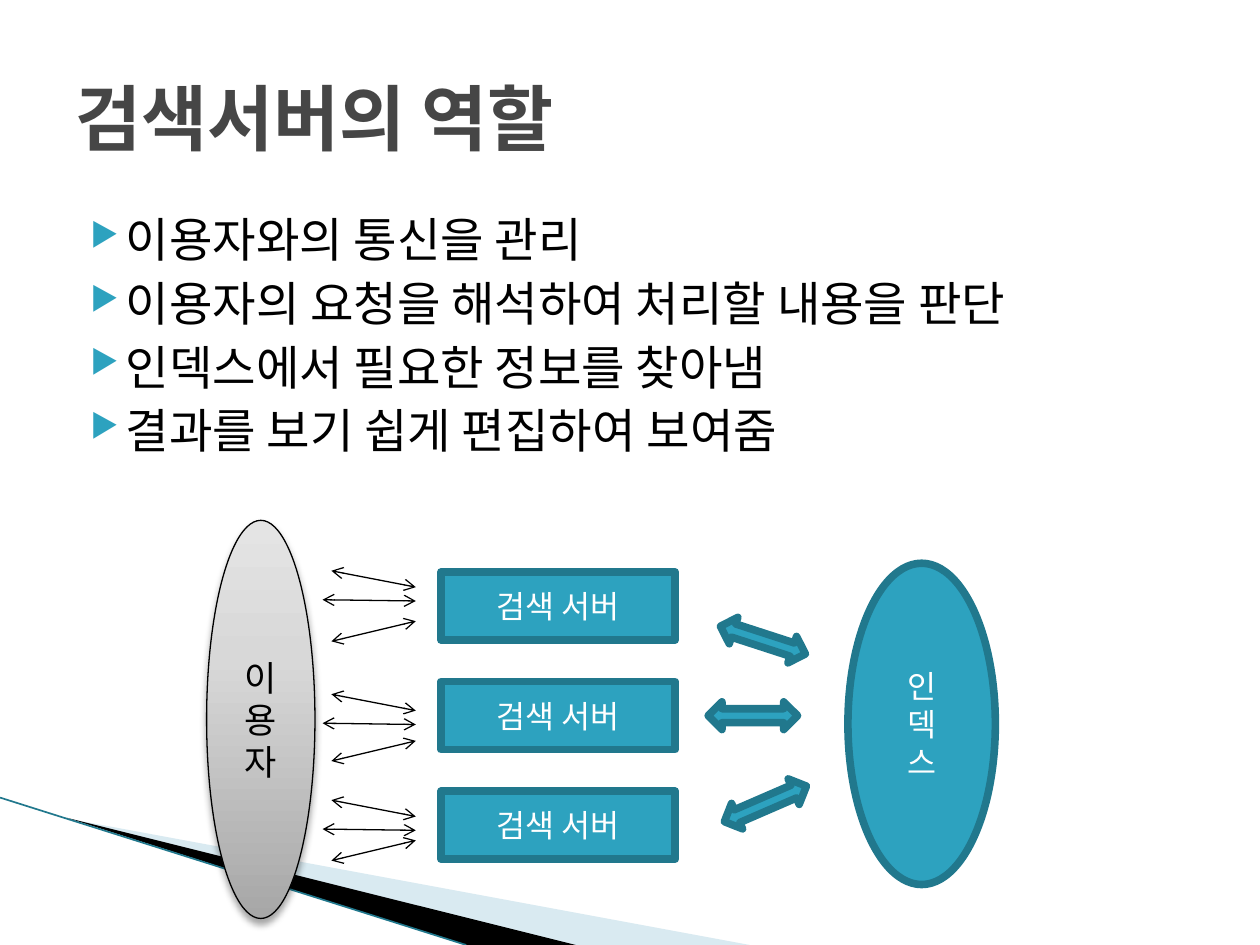
from copy import deepcopy

from lxml.etree import SubElement
from pptx import Presentation
from pptx.dml.color import RGBColor
from pptx.enum.shapes import MSO_CONNECTOR, MSO_SHAPE
from pptx.enum.text import MSO_ANCHOR, PP_ALIGN
from pptx.oxml import parse_xml
from pptx.oxml.ns import nsdecls, qn
from pptx.util import Inches, Pt

WIDE, HIGH = 10, 7.5
FACE = "Noto Sans Mono"
TEAL = RGBColor(0x2D, 0xA2, 0xBF)
EDGE = RGBColor(0x21, 0x78, 0x8D)
PALE = RGBColor(0xA0, 0xCB, 0xDC)
GRAY = RGBColor(0x46, 0x46, 0x46)
BLACK = RGBColor(0, 0, 0)
WHITE = RGBColor(0xFF, 0xFF, 0xFF)
SHADES = [(0, RGBColor(0xA7, 0xA7, 0xA7)),
          (0.65, RGBColor(0xD8, 0xD8, 0xD8)),
          (1, RGBColor(0xE4, 0xE4, 0xE4))]

# Server rows, and the top of each fan of arrows beside them
TOP, STEP, ROWS = 4.54, 0.87, 3
FANS = [(4.53, 0.56), (5.51, 0.53), (6.35, 0.48)]
POINTS = ["이용자와의 통신을 관리",
          "이용자의 요청을 해석하여 처리할 내용을 판단",
          "인덱스에서 필요한 정보를 찾아냄",
          "결과를 보기 쉽게 편집하여 보여줌"]


def write(frame, lines, size, color, align=PP_ALIGN.CENTER, bold=False):
    """Fill a frame with one paragraph per line."""
    frame.word_wrap = True
    frame.text = "\n".join(lines)
    for para in frame.paragraphs:
        para.alignment = align
        font = para.font
        font.name, font.size, font.bold = FACE, Pt(size), bold
        font.color.rgb = color
    return frame


def add_text(slide, box, lines, size, color, bold=False):
    frame = slide.shapes.add_textbox(*map(Inches, box)).text_frame
    return write(frame, lines, size, color, PP_ALIGN.LEFT, bold)


def add_list(slide, box, lines):
    """Text with teal triangle bullets."""
    for para in add_text(slide, box, lines, 27, BLACK).paragraphs:
        para.space_before = Pt(4)
        props = para._p.get_or_add_pPr()
        props.set("marL", str(Inches(0.4)))
        props.set("indent", str(Inches(-0.28)))
        marks = [f'<a:buClr {nsdecls("a")}><a:srgbClr val="{TEAL}"/></a:buClr>',
                 f'<a:buSzPct {nsdecls("a")} val="68000"/>',
                 f'<a:buChar {nsdecls("a")} char="▶"/>']
        last = props.find(qn("a:defRPr"))
        for mark in marks:
            last.addprevious(parse_xml(mark))


def add_node(slide, kind, box, lines=(), turn=0):
    """Teal shape with a thick round-cornered edge."""
    node = slide.shapes.add_shape(kind, *map(Inches, box))
    node.shadow.inherit = False
    node.rotation = turn
    node.fill.solid()
    node.fill.fore_color.rgb = TEAL
    node.line.color.rgb = EDGE
    node.line.width = Pt(4.33)
    SubElement(node.line._get_or_add_ln(), qn("a:round"))
    if lines:
        write(node.text_frame, lines, 18, WHITE)
        node.text_frame.vertical_anchor = MSO_ANCHOR.MIDDLE
    return node


def add_user(slide, box, lines):
    """Gray shaded ellipse with a soft shadow."""
    node = add_node(slide, MSO_SHAPE.OVAL, box, lines)
    write(node.text_frame, lines, 20, BLACK)
    node.line.color.rgb = BLACK
    node.line.width = Pt(0.75)
    node.fill.gradient()
    node.fill.gradient_angle = 90
    stops = node._element.spPr.find(qn("a:gradFill")).find(qn("a:gsLst"))
    stops.append(deepcopy(stops[-1]))
    for stop, (place, color) in zip(node.fill.gradient_stops, SHADES):
        stop.position, stop.color.rgb = place, color
    glow = node._element.spPr.find(qn("a:effectLst"))
    glow.append(parse_xml(
        f'<a:outerShdw {nsdecls("a")} blurRad="{Pt(4)}" dist="{Pt(3)}" '
        'dir="5400000" rotWithShape="0"><a:srgbClr val="000000">'
        '<a:alpha val="35000"/></a:srgbClr></a:outerShdw>'))


def add_line(slide, start, end, color, width, heads=False):
    line = slide.shapes.add_connector(
        MSO_CONNECTOR.STRAIGHT, *map(Inches, start + end))
    line.line.color.rgb = color
    line.line.width = Pt(width)
    SubElement(line._element.spPr, qn("a:effectLst"))
    if heads:
        for tag in ("a:headEnd", "a:tailEnd"):
            SubElement(line.line._get_or_add_ln(), qn(tag), type="arrow")


def add_wedge(slide, spots, color, alpha=100):
    spots = [(Inches(x), Inches(y)) for x, y in spots]
    pen = slide.shapes.build_freeform(*spots[0], scale=1)
    pen.add_line_segments(spots[1:], close=True)
    wedge = pen.convert_to_shape()
    wedge.shadow.inherit = False
    wedge.line.fill.background()
    wedge.fill.solid()
    wedge.fill.fore_color.rgb = color
    tint = wedge._element.spPr.find(qn("a:solidFill"))[0]
    SubElement(tint, qn("a:alpha"), val=str(alpha * 1000))


def add_fan(slide, top, drop):
    """Three two-way arrows between the user and one server."""
    add_line(slide, (2.63, top), (3.3, top + 0.13), BLACK, 0.75, True)
    add_line(slide, (2.56, top + 0.23), (3.3, top + 0.24), BLACK, 0.75, True)
    add_line(slide, (2.63, top + drop), (3.3, top + drop - 0.16),
             BLACK, 0.75, True)


def main():
    deck = Presentation()
    deck.slide_width, deck.slide_height = Inches(WIDE), Inches(HIGH)
    slide = deck.slides.add_slide(deck.slide_layouts[6])

    # Corner wedges
    add_wedge(slide, [(0.55, 6.5), (5.95, HIGH), (4.56, HIGH)], PALE, 40)
    add_wedge(slide, [(0.53, 6.49), (4.57, HIGH), (3.7, HIGH)], BLACK)
    add_line(slide, (0, 6.33), (3.7, HIGH), EDGE, 0.95)

    # Title and points
    left, span = WIDE * 0.05, WIDE * 0.9
    add_list(slide, (left, 1.62, span, 4.95), POINTS)
    title = add_text(slide, (left, 0.3, span, 1.25), ["검색서버의 역할"],
                     41, GRAY, True)
    title.vertical_anchor = MSO_ANCHOR.MIDDLE

    # User, servers and index
    add_user(slide, (1.64, 4.13, 0.86, 3.16), "이용자")
    for row in range(ROWS):
        add_node(slide, MSO_SHAPE.RECTANGLE,
                 (3.5, TOP + row * STEP, 1.86, 0.54), ["검색 서버"])
    add_node(slide, MSO_SHAPE.OVAL, (6.73, 4.47, 1.17, 2.55), "인덱스")

    # Arrows between them
    for top, drop in FANS:
        add_fan(slide, top, drop)
    for x, y, turn in [(5.7, 4.97, 18), (5.62, 5.57, 0), (5.72, 6.27, 336.6)]:
        add_node(slide, MSO_SHAPE.LEFT_RIGHT_ARROW, (x, y, 0.71, 0.22),
                 turn=turn)

    deck.save("out.pptx")


if __name__ == "__main__":
    main()
